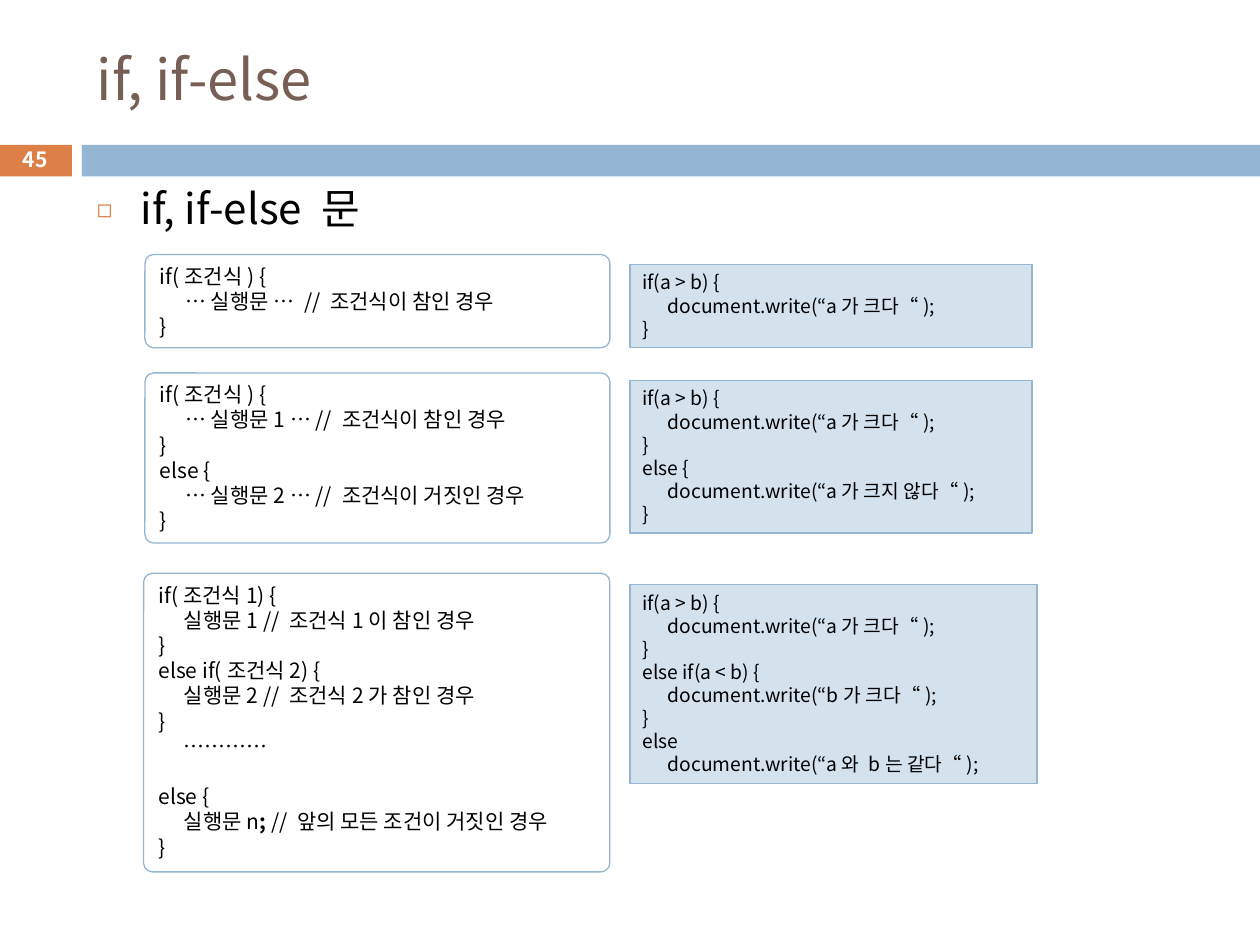
import pptx
import pptx.util
import pptx.dml.color
import pptx.enum.shapes
import pptx.enum.text
import pptx.oxml.ns
from lxml import etree

Inches = pptx.util.Inches
SHAPES = pptx.enum.shapes.MSO_SHAPE
ANCHOR = pptx.enum.text.MSO_ANCHOR
FONT = "Noto Sans CJK KR"
COLORS = {
    "title": "775F55",
    "text": "000000",
    "white": "FFFFFF",
    "orange": "DD8047",
    "blue": "94B6D2",
    "pale": "D4E2ED",
}


class SlideBuilder:
    """Hold the style and the current slide, and add its elements."""

    def __init__(self, slide):
        self.slide = slide

    def color(self, name):
        return pptx.dml.color.RGBColor.from_string(COLORS[name])

    def child(self, parent, tag, **attributes):
        return etree.SubElement(parent, pptx.oxml.ns.qn(tag), attributes)

    def run(self, paragraph, text, size, color="text", bold=False):
        run = paragraph.add_run()
        run.text = text
        run.font.name = FONT
        run.font.size = pptx.util.Pt(size)
        run.font.bold = bold
        run.font.color.rgb = self.color(color)
        self.child(run.font._element, "a:ea", typeface=FONT)

    def shape(self, kind, place, fill=None, line=None):
        shape = self.slide.shapes.add_shape(kind, *map(Inches, place))
        shape.shadow.inherit = False
        if fill:
            shape.fill.solid()
            shape.fill.fore_color.rgb = self.color(fill)
        else:
            shape.fill.background()
        if line:
            shape.line.color.rgb = self.color(line)
            shape.line.width = pptx.util.Pt(0.75)
        else:
            shape.line.fill.background()
        return shape

    def text(self, place, text, size, color, anchor=ANCHOR.MIDDLE, bold=False):
        box = self.slide.shapes.add_textbox(*map(Inches, place))
        box.text_frame.word_wrap = True
        box.text_frame.vertical_anchor = anchor
        paragraph = box.text_frame.paragraphs[0]
        self.run(paragraph, text, size, color, bold)
        return paragraph

    def bullet(self, place, text, size):
        paragraph = self.text(place, text, size, "text", ANCHOR.TOP)
        paragraph.space_before = pptx.util.Pt(7)
        properties = paragraph._p.get_or_add_pPr()
        properties.set("marL", str(Inches(0.35)))
        properties.set("indent", str(-Inches(0.35)))
        bullet_color = self.child(properties, "a:buClr")
        self.child(bullet_color, "a:srgbClr", val=COLORS["orange"])
        self.child(properties, "a:buSzPct", val="60000")
        self.child(properties, "a:buFont", typeface=FONT)
        self.child(properties, "a:buChar", char="◻")

    def code(self, shape, lines, size):
        frame = shape.text_frame
        frame.word_wrap = True
        frame.vertical_anchor = ANCHOR.TOP
        gap = 0
        paragraph = None
        for line in lines:
            if not line:
                gap = size * 1.2
                continue
            paragraph = frame.add_paragraph() if paragraph else frame.paragraphs[0]
            paragraph.alignment = pptx.enum.text.PP_ALIGN.LEFT
            if gap:
                paragraph.space_before = pptx.util.Pt(gap)
                gap = 0
            tabs = self.child(paragraph._p.get_or_add_pPr(), "a:tabLst")
            self.child(tabs, "a:tab", pos=str(Inches(0.2)), algn="l")
            for index, part in enumerate(line.split("**")):
                self.run(paragraph, part, size, bold=index % 2 == 1)

    def syntax(self, place, lines):
        shape = self.shape(SHAPES.ROUNDED_RECTANGLE, place, line="blue")
        shape.adjustments[0] = 0.07 / min(place[2:])
        self.code(shape, lines, 12)

    def example(self, place, lines):
        shape = self.shape(SHAPES.RECTANGLE, place, "pale", "blue")
        self.code(shape, lines, 11)


SYNTAX = [
    ((1.15, 2.02, 3.69, 0.74), [
        "if(조건식) {", "\t… 실행문 … // 조건식이 참인 경우", "}"]),
    ((1.15, 2.96, 3.69, 1.35), [
        "if(조건식) {", "\t… 실행문1 … // 조건식이 참인 경우", "}",
        "else {", "\t… 실행문2 … // 조건식이 거짓인 경우", "}"]),
    ((1.14, 4.55, 3.7, 2.37), [
        "if(조건식1) {", "\t실행문1 // 조건식1이 참인 경우", "}",
        "else if(조건식2) {", "\t실행문2 // 조건식2가 참인 경우", "}",
        "\t…………", "",
        "else {", "\t실행문n**; **// 앞의 모든 조건이 거짓인 경우", "}"]),
]
GREATER = ["if(a > b) {", "\tdocument.write(“a가 크다“);", "}"]
EXAMPLES = [
    ((5, 2.1, 3.19, 0.66), GREATER),
    ((5, 3.02, 3.19, 1.21), GREATER + [
        "else {", "\tdocument.write(“a가 크지 않다“);", "}"]),
    ((5, 4.64, 3.23, 1.58), GREATER + [
        "else if(a < b) {", "\tdocument.write(“b가 크다“);", "}",
        "else", "\tdocument.write(“a와 b는 같다“);"]),
]


def main():
    presentation = pptx.Presentation()
    presentation.slide_width = Inches(10)
    presentation.slide_height = Inches(7.5)
    slide = presentation.slides.add_slide(presentation.slide_layouts[6])
    builder = SlideBuilder(slide)
    builder.shape(SHAPES.RECTANGLE, (-0.01, 1.15, 0.58, 0.25), "orange")
    builder.shape(SHAPES.RECTANGLE, (0.65, 1.15, 9.35, 0.25), "blue")
    builder.text((0.67, 0.25, 8.92, 0.74), "if, if-else", 32, "title")
    builder.bullet((0.67, 1.4, 8.92, 5.51), "if, if-else 문", 24)
    for syntax, example in zip(SYNTAX, EXAMPLES):
        builder.syntax(*syntax)
        builder.example(*example)
    number = builder.text((-0.01, 1.13, 0.58, 0.27), "45", 12, "white", bold=True)
    number.alignment = pptx.enum.text.PP_ALIGN.CENTER
    presentation.save("out.pptx")


if __name__ == "__main__":
    main()
